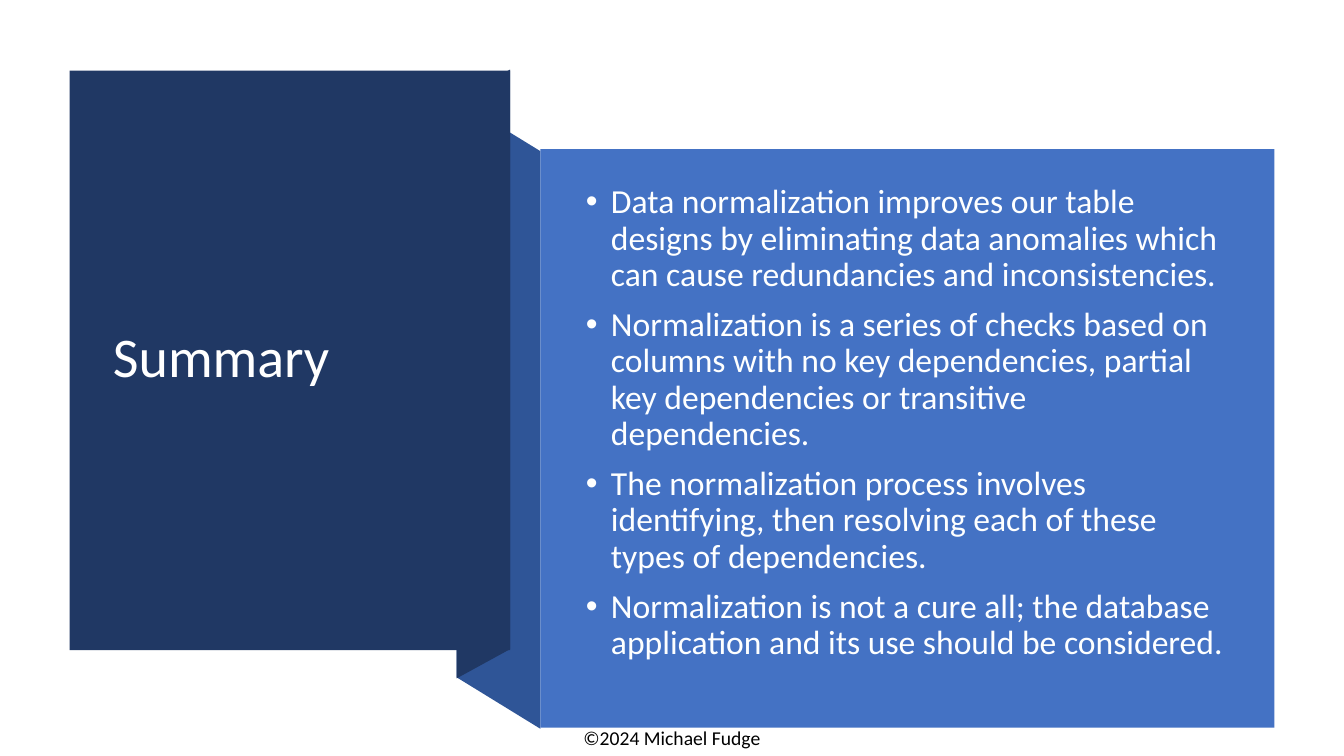
import pptx
import pptx.dml.color
import pptx.enum.shapes
import pptx.enum.text
import pptx.oxml.ns
import pptx.util
import lxml.etree

Inches = pptx.util.Inches
Pt = pptx.util.Pt
ALIGN = pptx.enum.text.PP_ALIGN
ANCHOR = pptx.enum.text.MSO_ANCHOR

TITLE = "Summary"
POINTS = [
    "Data normalization improves our table designs by eliminating data anomalies "
    "which can cause redundancies and inconsistencies.",
    "Normalization is a series of checks based on columns with no key dependencies, "
    "partial key dependencies or transitive dependencies.",
    "The normalization process involves identifying, then resolving each of these "
    "types of dependencies.",
    "Normalization is not a cure all; the database application and its use should "
    "be considered.",
]
COPYRIGHT = "©2024 Michael Fudge"

NAVY, MID_BLUE, BLUE = "203864", "2F5597", "4472C4"
FOLD_SIDE = [(5.36, 7.23), (4.53, 6.72), (4.53, 0.99), (5.36, 1.5)]
FOLD_BACK = [(5.06, 6.44), (4.53, 6.73), (4.53, 0.98), (5.06, 0.69)]
TITLE_PANEL = (0.69, 0.7, 4.37, 5.75)
BODY_PANEL = (5.36, 1.48, 7.28, 5.74)
TITLE_BOX = (1.02, 1.07, 3.71, 4.99)
BODY_BOX = (5.71, 1.88, 6.6, 5.02)
COPYRIGHT_BOX = (5.67, 7.15, 1.99, 0.34)


def color(value):
    return pptx.dml.color.RGBColor.from_string(value)


def paint(shape, fill):
    shape.shadow.inherit = False
    shape.fill.solid()
    shape.fill.fore_color.rgb = color(fill)
    shape.line.fill.background()


def add_panel(page, bounds, fill):
    kind = pptx.enum.shapes.MSO_SHAPE.RECTANGLE
    paint(page.shapes.add_shape(kind, *map(Inches, bounds)), fill)


def add_fold(page, corners, fill):
    points = [(Inches(x), Inches(y)) for x, y in corners]
    builder = page.shapes.build_freeform(*points[0])
    builder.add_line_segments(points[1:], close=True)
    paint(builder.convert_to_shape(), fill)


def place(box, bounds):
    box.left, box.top, box.width, box.height = map(Inches, bounds)
    frame = box.text_frame
    frame.word_wrap = True
    frame.auto_size = pptx.enum.text.MSO_AUTO_SIZE.NONE
    frame.vertical_anchor = ANCHOR.MIDDLE
    return frame


def write(para, text, size, ink, align=ALIGN.LEFT):
    para.alignment = align
    span = para.add_run()
    span.text = text
    span.font.name = "Calibri"
    span.font.size = Pt(size)
    span.font.color.rgb = color(ink)


def add_bullet(para):
    properties = para._p.get_or_add_pPr()
    properties.set("marL", str(Inches(0.25)))
    properties.set("indent", str(Inches(-0.25)))
    for tag, name, value in (("a:buFont", "typeface", "Arial"), ("a:buChar", "char", "•")):
        element = lxml.etree.SubElement(properties, pptx.oxml.ns.qn(tag))
        element.set(name, value)


deck = pptx.Presentation()
deck.slide_width, deck.slide_height = Inches(13.33), Inches(7.5)
page = deck.slides.add_slide(deck.slide_layouts[1])
title, body = page.shapes.title, page.placeholders[1]

note = page.shapes.add_textbox(*map(Inches, COPYRIGHT_BOX))
write(place(note, COPYRIGHT_BOX).paragraphs[0], COPYRIGHT, 14, "000000", ALIGN.CENTER)

add_fold(page, FOLD_SIDE, MID_BLUE)
add_fold(page, FOLD_BACK, NAVY)
add_panel(page, TITLE_PANEL, NAVY)
add_panel(page, BODY_PANEL, BLUE)

# Placeholders go in front of the panels
for holder in (title, body):
    page.shapes._spTree.append(holder._element)

heading = place(title, TITLE_BOX).paragraphs[0]
heading.line_spacing = 0.9
write(heading, TITLE, 40, "FFFFFF")

frame = place(body, BODY_BOX)
frame.margin_top, frame.margin_bottom = 0, Inches(0.38)
for index, text in enumerate(POINTS):
    para = frame.add_paragraph() if index else frame.paragraphs[0]
    add_bullet(para)
    para.line_spacing = 0.9
    para.space_before = Pt(10 if index else 0)
    write(para, text, 24, "FEFFFF")

deck.save("out.pptx")
